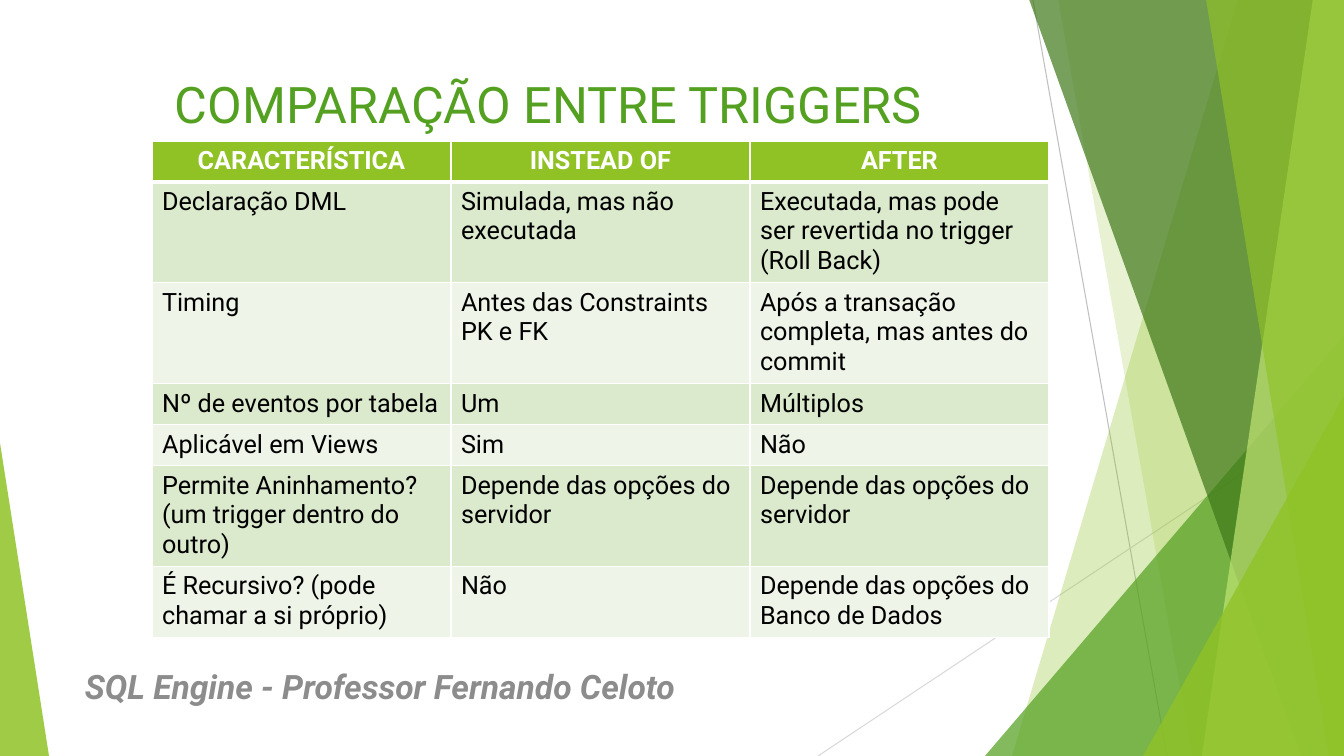
from lxml.etree import SubElement
from pptx import Presentation
from pptx.dml.color import RGBColor
from pptx.enum.shapes import MSO_CONNECTOR as Connector, MSO_SHAPE as Shape
from pptx.enum.text import MSO_ANCHOR as Anchor, PP_ALIGN as Align
from pptx.oxml import parse_xml
from pptx.oxml.ns import nsdecls, qn
from pptx.util import Emu, Pt

# Content
TITLE = "COMPARAÇÃO ENTRE TRIGGERS"
CREDIT = "SQL Engine - Professor Fernando Celoto"
COMPARISON = [
    ("CARACTERÍSTICA", "INSTEAD OF", "AFTER"),
    ("Declaração DML", "Simulada, mas não executada",
     "Executada, mas pode ser revertida no trigger (Roll Back)"),
    ("Timing", "Antes das Constraints PK e FK",
     "Após a transação completa, mas antes do commit"),
    ("Nº de eventos por tabela", "Um", "Múltiplos"),
    ("Aplicável em Views", "Sim", "Não"),
    ("Permite Aninhamento? (um trigger dentro do outro)",
     "Depende das opções do servidor", "Depende das opções do servidor"),
    ("É Recursivo? (pode chamar a si próprio)", "Não",
     "Depende das opções do Banco de Dados"),
]

THEME = {
    "font": "Roboto",
    "title": "54A021", "credit": "8C8C8C", "text": "000000", "white": "FFFFFF",
    "lime": "90C226", "green": "54A021", "forest": "3F7819", "pale": "C0E474",
    "bands": ("DBE9CD", "EEF4E8"),
    "title_size": 36, "credit_size": 24, "table_size": 18,
}

# Geometry in pixels
SCALE = 914400 / 100.8
WIDTH, HEIGHT = 1344, 756
TITLE_BOX = (75, 68, 947, 145)
CREDIT_BOX = (75, 666, 694, 40)
TABLE_LEFT, TABLE_TOP, COLUMN_WIDTH, ROW_HEIGHT = 152, 141, 299, 41

RAYS = [((1033, 0), (1167, HEIGHT), "BFBFBF"),
        ((WIDTH, 406), (818, HEIGHT), "D9D9D9")]
# Blades reach the right edge: top-left x, bottom-left x, colour, opacity %
BLADES_BACK = [(1238, 1012, "lime", 30), (1058, 1192, "lime", 20)]
BLADES_FRONT = [(1029, 1301, "forest", 70), (1313, 1202, "pale", 70),
                (1206, 1329, "lime", 65)]
# Peaks stand on the bottom edge: left, top, width, apex, colour, opacity %
PEAK_BACK = (985, 336, 359, 1, "green", 72)
PEAKS_FRONT = [(1143, 396, 201, 1, "lime", 80), (0, 443, 49, 0, "lime", 85)]


def px(length):
    """Turn pixels into EMU."""
    return Emu(round(length * SCALE))


def box(*lengths):
    """Turn several pixel lengths into EMU."""
    return [px(length) for length in lengths]


def color(hex_code):
    """Give an RGB colour for a hex code."""
    return RGBColor.from_string(hex_code)


def format_text(frame, size, hex_code, align=Align.LEFT, bold=False, italic=False):
    """Style every run of a text frame."""
    for paragraph in frame.paragraphs:
        paragraph.alignment = align
        for run in paragraph.runs:
            font = run.font
            font.name, font.size = THEME["font"], Pt(size)
            font.bold, font.italic = bold, italic
            font.color.rgb = color(hex_code)


def paint(facet, color_name, opacity):
    """Give a facet a translucent fill without outline or shadow."""
    facet.shadow.inherit = False
    facet.fill.solid()
    facet.fill.fore_color.rgb = color(THEME[color_name])
    facet.line.fill.background()
    tint = facet.element.spPr.find(qn("a:solidFill")).find(qn("a:srgbClr"))
    SubElement(tint, qn("a:alpha"), val=str(opacity * 1000))


def add_ray(slide, start, end, hex_code):
    """Draw a thin background line."""
    ray = slide.shapes.add_connector(Connector.STRAIGHT, *box(*start, *end))
    ray.line.color.rgb = color(hex_code)
    ray.line.width = Pt(0.75)
    SubElement(ray.element.spPr, qn("a:effectLst"))


def add_blade(slide, top_x, bottom_x, color_name, opacity):
    """Draw a full-height facet with a slanted left side."""
    outline = slide.shapes.build_freeform(top_x, -1, scale=SCALE)
    outline.add_line_segments([(WIDTH, -1), (WIDTH, HEIGHT), (bottom_x, HEIGHT)])
    paint(outline.convert_to_shape(), color_name, opacity)


def add_peak(slide, left, top, width, apex, color_name, opacity):
    """Draw a triangle standing on the bottom edge."""
    peak = slide.shapes.add_shape(
        Shape.ISOSCELES_TRIANGLE, *box(left, top, width, HEIGHT - top))
    peak.adjustments[0] = apex
    paint(peak, color_name, opacity)


def add_backdrop(slide):
    """Draw the lines and facets from back to front."""
    for ray in RAYS:
        add_ray(slide, *ray)
    for blade in BLADES_BACK:
        add_blade(slide, *blade)
    add_peak(slide, *PEAK_BACK)
    for blade in BLADES_FRONT:
        add_blade(slide, *blade)
    for peak in PEAKS_FRONT:
        add_peak(slide, *peak)


def add_title(slide):
    """Fill the title placeholder and bring it in front of the backdrop."""
    title = slide.shapes.title
    title.left, title.top, title.width, title.height = box(*TITLE_BOX)
    title.text_frame.text = TITLE
    title.text_frame.vertical_anchor = Anchor.TOP
    format_text(title.text_frame, THEME["title_size"], THEME["title"], Align.CENTER)
    title.element.getparent().append(title.element)


def add_credit(slide):
    """Write the course line at the bottom."""
    frame = slide.shapes.add_textbox(*box(*CREDIT_BOX)).text_frame
    frame.word_wrap = True
    frame.vertical_anchor = Anchor.MIDDLE
    frame.text = CREDIT
    format_text(frame, THEME["credit_size"], THEME["credit"], bold=True, italic=True)


def add_borders(cell, top, bottom):
    """Set white cell borders, with top and bottom widths in points."""
    properties = cell._tc.get_or_add_tcPr()
    sides = [("lnL", 1), ("lnR", 1), ("lnT", top), ("lnB", bottom)]
    for position, (side, width) in enumerate(sides):
        properties.insert(position, parse_xml(
            f'<a:{side} {nsdecls("a")} w="{Pt(width)}"><a:solidFill>'
            f'<a:srgbClr val="{THEME["white"]}"/></a:solidFill></a:{side}>'))


def add_comparison(slide):
    """Build the comparison table with a header and alternating bands."""
    rows, columns = len(COMPARISON), len(COMPARISON[0])
    table = slide.shapes.add_table(rows, columns, *box(
        TABLE_LEFT, TABLE_TOP, COLUMN_WIDTH * columns, ROW_HEIGHT * rows)).table
    table.horz_banding = False
    for row_index, row in enumerate(COMPARISON):
        header = row_index == 0
        band = THEME["lime"] if header else THEME["bands"][(row_index - 1) % 2]
        for column_index, wording in enumerate(row):
            cell = table.cell(row_index, column_index)
            cell.text_frame.text = wording
            format_text(cell.text_frame, THEME["table_size"],
                        THEME["white" if header else "text"],
                        Align.CENTER if header else Align.LEFT, bold=header)
            cell.fill.solid()
            cell.fill.fore_color.rgb = color(band)
            add_borders(cell, 3 if row_index == 1 else 1, 3 if header else 1)


def main():
    """Build and save the slide."""
    deck = Presentation()
    deck.slide_width, deck.slide_height = box(WIDTH, HEIGHT)
    slide = deck.slides.add_slide(deck.slide_layouts[5])
    add_backdrop(slide)
    add_title(slide)
    add_credit(slide)
    add_comparison(slide)
    deck.save("out.pptx")


main()
